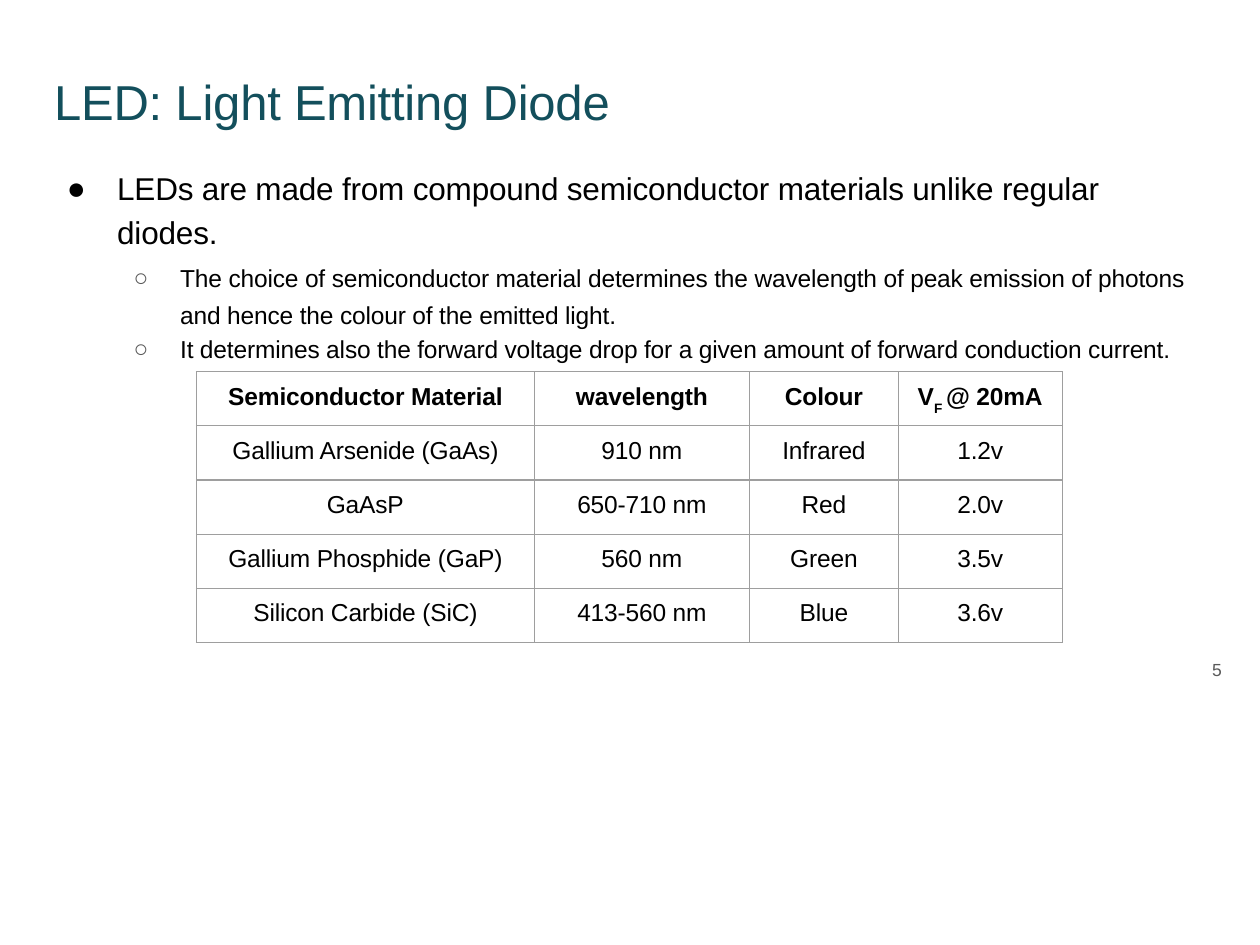
from dataclasses import dataclass

from lxml import etree
from pptx import Presentation
from pptx.dml.color import RGBColor
from pptx.enum.text import PP_ALIGN
from pptx.oxml.ns import qn
from pptx.util import Inches, Pt

CENTER = PP_ALIGN.CENTER
LEFT = PP_ALIGN.LEFT
BLANK_LAYOUT = 6


@dataclass(frozen=True)
class Theme:
    font: str = "Arial"
    title_color: str = "134F5C"
    text_color: str = "000000"
    muted_color: str = "595959"
    border_color: str = "9E9E9E"
    background: str = "FFFFFF"
    title_size: float = 28
    body_size: float = 18
    detail_size: float = 14
    number_size: float = 10
    subscript_size: float = 13.5
    border_width: float = 0.75
    tracking: int = -10


@dataclass(frozen=True)
class Bullet:
    text: str
    level: int
    symbol: str
    symbol_color: str
    size: float
    indent: float
    hanging: float
    line_spacing: float
    space_before: float


THEME = Theme()

DETAIL = dict(level=1, symbol="○", symbol_color=THEME.muted_color,
              size=THEME.detail_size, indent=0.91, hanging=0.37)
BULLETS = [
    Bullet("LEDs are made from compound semiconductor materials unlike regular diodes.",
           0, "●", THEME.text_color, THEME.body_size, 0.41, 0.4, 1.15, 0),
    Bullet("The choice of semiconductor material determines the wavelength of peak "
           "emission of photons and hence the colour of the emitted light.",
           line_spacing=1.25, space_before=3, **DETAIL),
    Bullet("It determines also the forward voltage drop for a given amount of "
           "forward conduction current.",
           line_spacing=1, space_before=2.7, **DETAIL),
]

SUBSCRIPT = "F "
MATERIALS = [
    ("Semiconductor Material", "wavelength", "Colour", ("V", SUBSCRIPT, "@ 20mA")),
    ("Gallium Arsenide (GaAs)", "910 nm", "Infrared", "1.2v"),
    ("GaAsP", "650-710 nm", "Red", "2.0v"),
    ("Gallium Phosphide (GaP)", "560 nm", "Green", "3.5v"),
    ("Silicon Carbide (SiC)", "413-560 nm", "Blue", "3.6v"),
]
COLUMN_WIDTHS = [2.68, 1.71, 1.18, 1.3]
ROW_HEIGHT = 0.43


def style_paragraph(paragraph, size: float, color: str, bold: bool = False,
                    alignment=LEFT) -> None:
    paragraph.alignment = alignment
    font = paragraph.font
    font.name = THEME.font
    font.size = Pt(size)
    font.bold = bold
    font.color.rgb = RGBColor.from_string(color)
    properties = paragraph._p.get_or_add_pPr()
    properties.find(qn("a:defRPr")).set("spc", str(THEME.tracking))


def add_text_box(slide, left: float, top: float, width: float, height: float,
                 top_margin: float = 0):
    shape = slide.shapes.add_textbox(Inches(left), Inches(top), Inches(width), Inches(height))
    frame = shape.text_frame
    frame.word_wrap = True
    frame.margin_left = frame.margin_right = frame.margin_bottom = 0
    frame.margin_top = Inches(top_margin)
    return frame


def add_label(slide, text: str, left: float, top: float, width: float, height: float,
              size: float, color: str, margins: tuple[float, float] = (0, 0)) -> None:
    left_margin, top_margin = margins
    frame = add_text_box(slide, left, top, width, height, top_margin)
    frame.margin_left = Inches(left_margin)
    paragraph = frame.paragraphs[0]
    paragraph.add_run().text = text
    style_paragraph(paragraph, size, color)


def set_bullet(paragraph, bullet: Bullet) -> None:
    properties = paragraph._p.get_or_add_pPr()
    properties.set("marL", str(Inches(bullet.indent)))
    properties.set("indent", str(-Inches(bullet.hanging)))
    color = etree.SubElement(properties, qn("a:buClr"))
    etree.SubElement(color, qn("a:srgbClr"), val=bullet.symbol_color)
    etree.SubElement(properties, qn("a:buFont"), typeface=THEME.font)
    etree.SubElement(properties, qn("a:buChar"), char=bullet.symbol)
    tabs = etree.SubElement(properties, qn("a:tabLst"))
    etree.SubElement(tabs, qn("a:tab"), pos=str(Inches(bullet.indent)), algn="l")


def add_bullets(slide, bullets: list[Bullet]) -> None:
    frame = add_text_box(slide, 0.52, 1.29, 9.01, 1.61, 0.01)
    for index, bullet in enumerate(bullets):
        paragraph = frame.add_paragraph() if index else frame.paragraphs[0]
        paragraph.level = bullet.level
        set_bullet(paragraph, bullet)
        paragraph.line_spacing = bullet.line_spacing
        if index:
            paragraph.space_before = Pt(bullet.space_before)
        paragraph.add_run().text = bullet.text
        style_paragraph(paragraph, bullet.size, THEME.text_color)


def set_borders(cell) -> None:
    properties = cell._tc.get_or_add_tcPr()
    for index, side in enumerate(("lnL", "lnR", "lnT", "lnB")):
        line = etree.Element(qn(f"a:{side}"), w=str(Pt(THEME.border_width)))
        fill = etree.SubElement(line, qn("a:solidFill"))
        etree.SubElement(fill, qn("a:srgbClr"), val=THEME.border_color)
        properties.insert(index, line)


def fill_cell(cell, content: str | tuple[str, ...], bold: bool) -> None:
    cell.fill.solid()
    cell.fill.fore_color.rgb = RGBColor.from_string(THEME.background)
    set_borders(cell)
    cell.margin_left = cell.margin_right = cell.margin_bottom = 0
    cell.margin_top = Inches(0.09)
    paragraph = cell.text_frame.paragraphs[0]
    for part in (content,) if isinstance(content, str) else content:
        run = paragraph.add_run()
        run.text = part
        if part == SUBSCRIPT:
            run.font.size = Pt(THEME.subscript_size)
            run.font._element.set("baseline", "-34000")
    style_paragraph(paragraph, THEME.detail_size, THEME.text_color, bold, CENTER)


def add_materials_table(slide) -> None:
    frame = slide.shapes.add_table(
        len(MATERIALS), len(COLUMN_WIDTHS), Inches(1.56), Inches(2.95),
        Inches(sum(COLUMN_WIDTHS)), Inches(ROW_HEIGHT * len(MATERIALS)))
    table = frame.table
    table.first_row = table.horz_banding = False
    for column, width in zip(table.columns, COLUMN_WIDTHS):
        column.width = Inches(width)
    for row_index, values in enumerate(MATERIALS):
        table.rows[row_index].height = Inches(ROW_HEIGHT)
        for column_index, content in enumerate(values):
            fill_cell(table.cell(row_index, column_index), content, row_index == 0)


def main() -> None:
    presentation = Presentation()
    presentation.slide_width = Inches(10)
    presentation.slide_height = Inches(7.5)
    slide = presentation.slides.add_slide(presentation.slide_layouts[BLANK_LAYOUT])
    add_label(slide, "5", 9.58, 5.23, 0.24, 0.18,
              THEME.number_size, THEME.muted_color, (0.04, 0))
    add_label(slide, "LED: Light Emitting Diode", 0.42, 0.55, 4.47, 0.49,
              THEME.title_size, THEME.title_color, (0.01, 0.02))
    add_bullets(slide, BULLETS)
    add_materials_table(slide)
    presentation.save("out.pptx")


if __name__ == "__main__":
    main()
